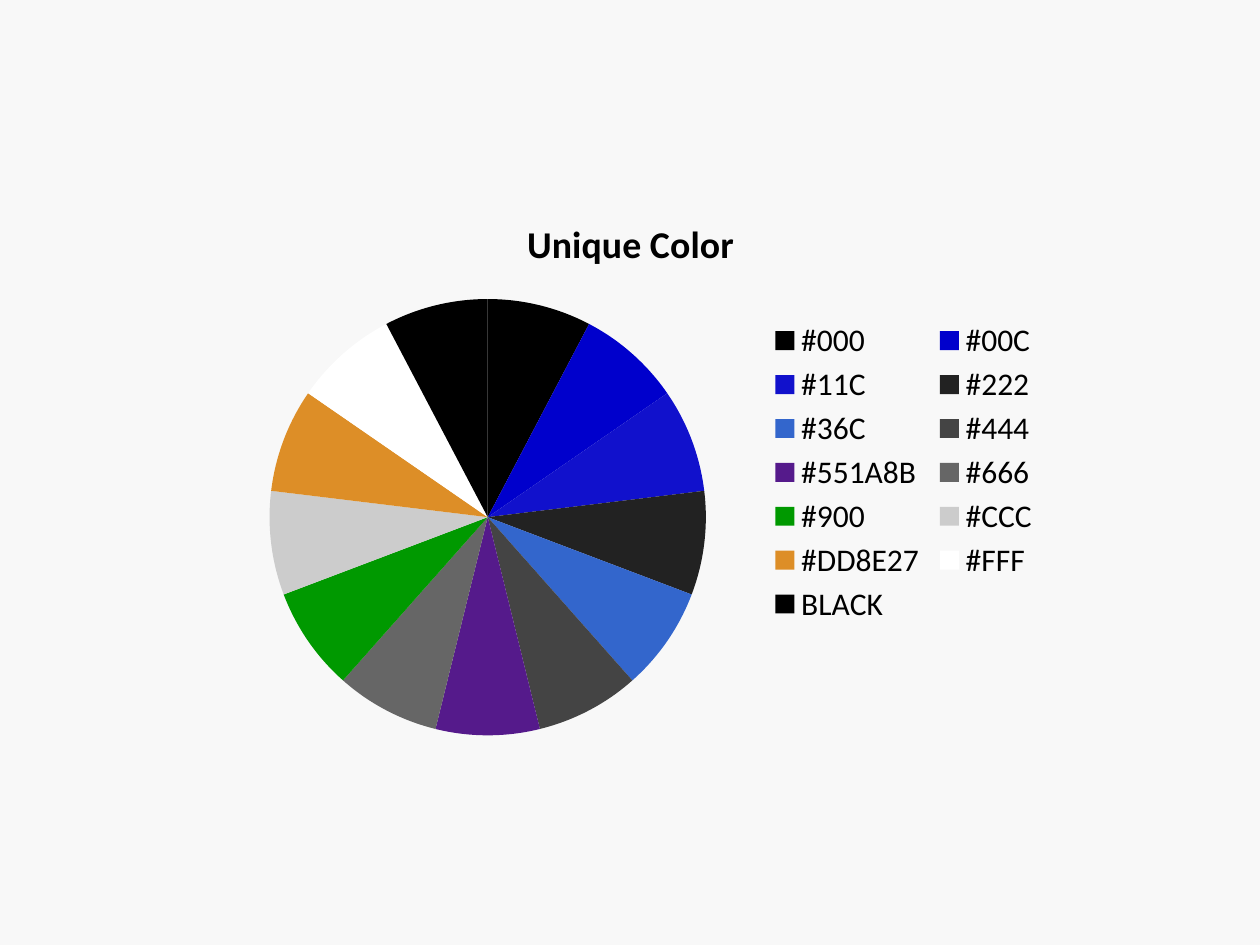
from typing import NamedTuple

from lxml.etree import SubElement
from pptx import Presentation
from pptx.chart.chart import Chart
from pptx.chart.data import CategoryChartData
from pptx.dml.color import RGBColor
from pptx.enum.chart import XL_CHART_TYPE, XL_LEGEND_POSITION
from pptx.oxml.ns import qn
from pptx.util import Inches, Pt

FONT = "Calibri"
TITLE = "Unique Color"
SHARE = 8
BACKGROUND = RGBColor(0xF8, 0xF8, 0xF8)
BLACK = RGBColor(0x00, 0x00, 0x00)


class Slice(NamedTuple):
    """One pie slice: its label and fill."""
    label: str
    color: RGBColor


class Area(NamedTuple):
    """A place within the chart, as fractions of its size."""
    x: float
    y: float
    w: float
    h: float


SLICES = [
    Slice("#000", BLACK),
    Slice("#00C", RGBColor(0x00, 0x00, 0xCC)),
    Slice("#11C", RGBColor(0x11, 0x11, 0xCC)),
    Slice("#222", RGBColor(0x22, 0x22, 0x22)),
    Slice("#36C", RGBColor(0x33, 0x66, 0xCC)),
    Slice("#444", RGBColor(0x44, 0x44, 0x44)),
    Slice("#551A8B", RGBColor(0x55, 0x1A, 0x8B)),
    Slice("#666", RGBColor(0x66, 0x66, 0x66)),
    Slice("#900", RGBColor(0x00, 0x99, 0x00)),
    Slice("#CCC", RGBColor(0xCC, 0xCC, 0xCC)),
    Slice("#DD8E27", RGBColor(0xDD, 0x8E, 0x27)),
    Slice("#FFF", RGBColor(0xFF, 0xFF, 0xFF)),
    Slice("BLACK", BLACK),
]
PIE_AREA = Area(0.07, 0.19, 0.52, 0.78)
LEGEND_AREA = Area(0.66, 0.22, 0.33, 0.56)


def place(parent, index: int, area: Area, inner: bool = False) -> None:
    """Give a chart part a manual layout, as its child at index."""
    for old in parent.findall(qn("c:layout")):
        parent.remove(old)
    layout = SubElement(parent, qn("c:layout"))
    parent.insert(index, layout)
    manual = SubElement(layout, qn("c:manualLayout"))
    settings = [("layoutTarget", "inner")] if inner else []
    settings += [("xMode", "edge"), ("yMode", "edge")]
    settings += [(name, str(value)) for name, value in area._asdict().items()]
    for name, value in settings:
        SubElement(manual, qn(f"c:{name}")).set("val", value)


def add_title(chart: Chart) -> None:
    """Write the bold chart title."""
    p = chart.chart_title.text_frame.paragraphs[0]
    r = p.add_run()
    r.text = TITLE
    r.font.name = FONT
    r.font.size = Pt(21.6)
    r.font.bold = True
    r.font.color.rgb = BLACK


def add_pie(slide) -> Chart:
    """Add the pie chart with equal slices in their own colours."""
    data = CategoryChartData()
    data.categories = [item.label for item in SLICES]
    data.add_series(TITLE, [SHARE] * len(SLICES))
    chart = slide.shapes.add_chart(
        XL_CHART_TYPE.PIE, Inches(1.67), Inches(1.53),
        Inches(6.67), Inches(4.44), data).chart
    chart.font.name = FONT
    chart.font.size = Pt(18)
    chart.font.color.rgb = BLACK
    plot = chart.plots[0]
    plot.vary_by_categories = True
    for i, item in enumerate(SLICES):
        fmt = plot.series[0].points[i].format
        fmt.fill.solid()
        fmt.fill.fore_color.rgb = item.color
        fmt.line.fill.background()
    place(plot._element.getparent(), 0, PIE_AREA, inner=True)
    return chart


def add_legend(chart: Chart) -> None:
    """Show the two-column legend right of the pie."""
    chart.has_legend = True
    chart.legend.position = XL_LEGEND_POSITION.RIGHT
    chart.legend.include_in_layout = False
    place(chart.legend._element, 1, LEGEND_AREA)


def main() -> None:
    """Build and save the slide."""
    prs = Presentation()
    prs.slide_width, prs.slide_height = Inches(10), Inches(7.5)
    s = prs.slides.add_slide(prs.slide_layouts[6])
    s.background.fill.solid()
    s.background.fill.fore_color.rgb = BACKGROUND
    chart = add_pie(s)
    add_title(chart)
    add_legend(chart)
    prs.save("out.pptx")


main()
